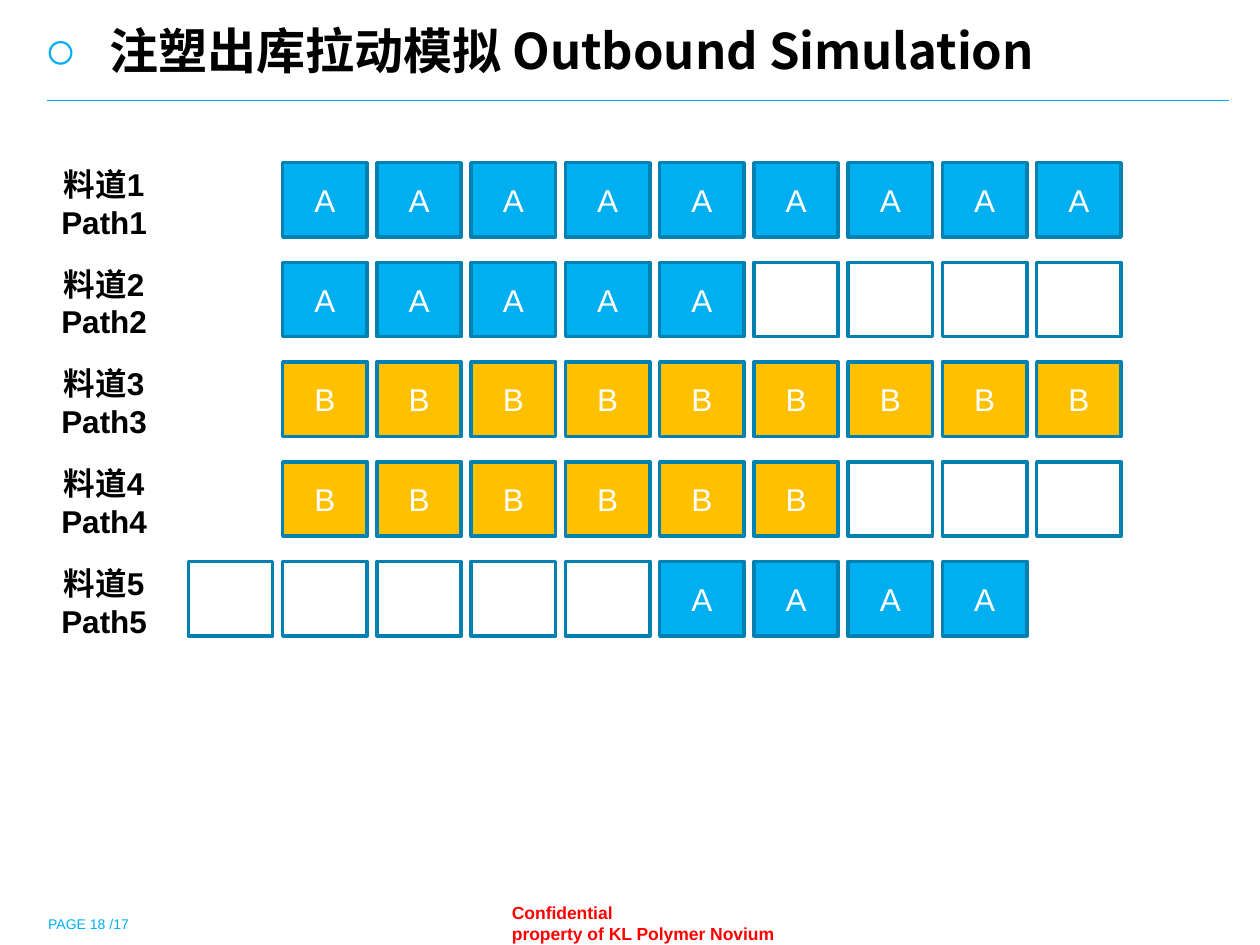
from dataclasses import dataclass

from lxml.etree import SubElement
from pptx import Presentation
from pptx.dml.color import RGBColor
from pptx.enum.shapes import MSO_CONNECTOR, MSO_SHAPE
from pptx.enum.text import MSO_ANCHOR, MSO_AUTO_SIZE, PP_ALIGN
from pptx.oxml.ns import qn
from pptx.util import Cm, Pt


@dataclass(frozen=True)
class Theme:
    """Colours, fonts and type sizes of the slide."""
    white: str = "FFFFFF"
    black: str = "000000"
    red: str = "FF0000"
    blue: str = "00AFF0"
    rule: str = "00ABEB"
    amber: str = "FFC000"
    border: str = "0081B2"
    latin: str = "Arial"
    cjk: str = "Noto Sans CJK SC"
    title: int = 28
    body: int = 18
    note: int = 10
    page: int = 8


THEME = Theme()
FILLS = {"A": THEME.blue, "B": THEME.amber, " ": THEME.white}
PATHS = [" AAAAAAAAA", " AAAAA    ", " BBBBBBBBB", " BBBBBB   ", "     AAAA "]
PATH_PITCH = 2.01
SLOT_PITCH = 1.9


def rgb(value):
    """Return the colour for a hex string."""
    return RGBColor.from_string(value)


def write(sp, text, size=THEME.body, color=THEME.black, bold=False,
          font=THEME.latin, align=PP_ALIGN.LEFT, anchor=MSO_ANCHOR.TOP,
          margins=None, bullet=None, spacing=None):
    """Fill a shape with formatted text, one paragraph per line."""
    tf = sp.text_frame
    tf.word_wrap = True
    tf.auto_size = MSO_AUTO_SIZE.NONE
    tf.vertical_anchor = anchor
    if margins is not None:
        tf.margin_left = tf.margin_top = tf.margin_right = tf.margin_bottom = margins
    for i, line in enumerate(text.split("\n")):
        p = tf.paragraphs[0] if i == 0 else tf.add_paragraph()
        p.alignment = align
        if spacing:
            p.line_spacing = spacing
        if bullet:
            add_bullet(p, bullet)
        r = p.add_run()
        r.text = line
        r.font.size, r.font.bold, r.font.name = Pt(size), bold, font
        r.font.color.rgb = rgb(color)
        SubElement(r.font._element, qn("a:ea"), typeface=THEME.cjk)


def add_bullet(p, char):
    """Give a paragraph a coloured hanging bullet."""
    pPr = p._p.get_or_add_pPr()
    pPr.set("marL", str(Cm(1.32)))
    pPr.set("indent", str(-Cm(1.32)))
    SubElement(SubElement(pPr, qn("a:buClr")), qn("a:srgbClr"), val=THEME.blue)
    SubElement(pPr, qn("a:buSzPct"), val="110000")
    SubElement(pPr, qn("a:buFont"), typeface=THEME.latin)
    SubElement(pPr, qn("a:buChar"), char=char)


def add_label(s, x, y, w, h, text, **fmt):
    """Add a text box at a place in centimetres."""
    write(s.shapes.add_textbox(Cm(x), Cm(y), Cm(w), Cm(h)), text, **fmt)


def add_header(s, x, y, w, h):
    """Place the title and the rule below it."""
    sp = s.shapes.title
    sp.left, sp.top, sp.width, sp.height = Cm(x), Cm(y), Cm(w), Cm(h)
    write(sp, "注塑出库拉动模拟 Outbound Simulation", size=THEME.title, bold=True,
          font=THEME.cjk, bullet="○", spacing=0.9)
    rule_y = Cm(y + h + 0.41)
    line = s.shapes.add_connector(MSO_CONNECTOR.STRAIGHT, Cm(x + 0.3), rule_y,
                                  Cm(x + w - 0.41), rule_y)
    line.line.color.rgb = rgb(THEME.rule)
    line.line.width = Pt(0.75)
    SubElement(line._element.spPr, qn("a:effectLst"))


def add_slot(s, x, y, part):
    """Draw one storage slot, filled when it holds a part."""
    sp = s.shapes.add_shape(MSO_SHAPE.RECTANGLE, Cm(x), Cm(y), Cm(1.7), Cm(1.5))
    sp.shadow.inherit = False
    sp.fill.solid()
    sp.fill.fore_color.rgb = rgb(FILLS[part])
    sp.line.color.rgb = rgb(THEME.border)
    sp.line.width = Pt(2)
    if part.strip():
        write(sp, part, color=THEME.white, align=PP_ALIGN.CENTER,
              anchor=MSO_ANCHOR.MIDDLE)


def add_path(s, x, y, number, parts):
    """Draw one path: its label and its row of slots."""
    add_label(s, x, y - 0.08, 3.2, 1.8, f"料道{number}\nPath{number}",
              bold=True, align=PP_ALIGN.CENTER)
    first, last = (0, 8) if number == 5 else (1, 9)
    for i in range(first, last + 1):
        add_slot(s, x + 3.3 + i * SLOT_PITCH, y, parts[i])


def add_paths(s, x, y):
    """Stack the paths at an equal pitch."""
    for i, parts in enumerate(PATHS):
        add_path(s, x, y + i * PATH_PITCH, i + 1, parts)


def add_footer(s, x, y, w):
    """Place the page number and the confidentiality note."""
    add_label(s, x, y + 0.1, w, 0.64, "PAGE 18 /17", size=THEME.page,
              color=THEME.blue, anchor=MSO_ANCHOR.BOTTOM, margins=0)
    add_label(s, x + 9.1, y, 5.82, 1.09,
              "Confidential\nproperty of KL Polymer Novium",
              size=THEME.note, color=THEME.red, bold=True)


def main():
    """Build the slide and save it."""
    prs = Presentation()
    prs.slide_width, prs.slide_height = Cm(25.4), Cm(19.05)
    s = prs.slides.add_slide(prs.slide_layouts[5])
    s.background.fill.solid()
    s.background.fill.fore_color.rgb = rgb(THEME.white)
    add_footer(s, 0.97, 18.06, 20.4)
    add_header(s, 0.64, 0.43, 24.54, 1.19)
    add_paths(s, 0.5, 3.28)
    prs.save("out.pptx")


if __name__ == "__main__":
    main()
